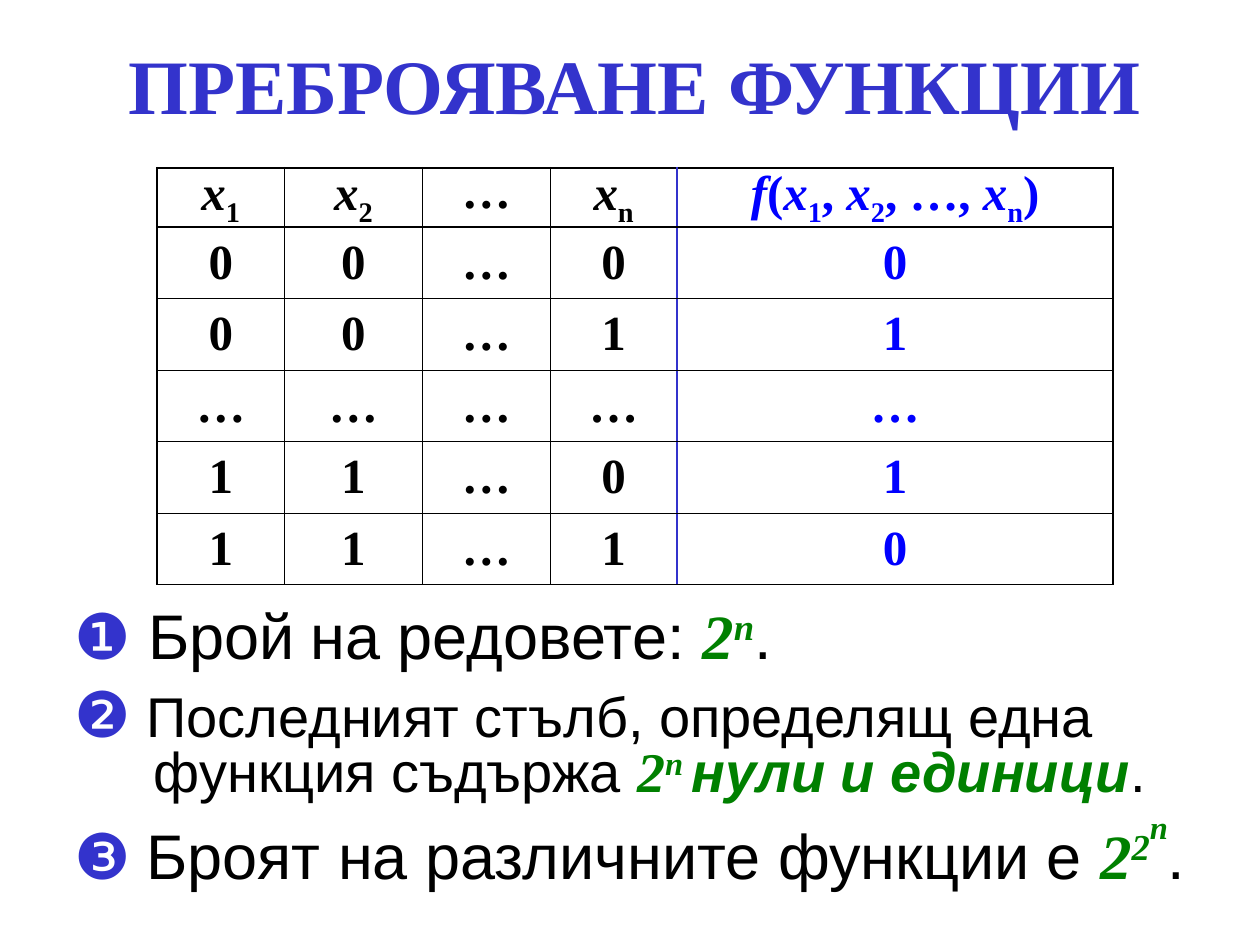
from dataclasses import dataclass

from lxml import etree
from pptx import Presentation
from pptx import util as u
from pptx.dml.color import RGBColor
from pptx.enum import text as t
from pptx.oxml import ns

SERIF, SANS = "Times New Roman", "Arial"
BLACK, INDIGO, BLUE, GREEN = "000000", "3333CC", "0000FF", "008000"
SUB, SUPER, HIGH_SUPER = -25, 30, 70
THIN, THICK = 0.45, 1.08


@dataclass(frozen=True)
class Style:
    size: float
    face: str = SANS
    color: str = BLACK
    bold: bool = False
    italic: bool = False


@dataclass(frozen=True)
class Piece:
    text: str
    style: Style
    baseline: int = 0


@dataclass(frozen=True)
class Statement:
    top: float
    width: float
    height: float
    spacing: float
    pieces: tuple[Piece, ...]
    hanging: float = 0


TITLE = Style(44, SERIF, INDIGO, bold=True)
NUMBER = Style(36, color=INDIGO)
LARGE, SMALL = Style(36), Style(32)
MATH_LARGE = Style(36, SERIF, GREEN, True, True)
MATH_SMALL = Style(32, SERIF, GREEN, True, True)
EMPHASIS = Style(32, SANS, GREEN, True, True)

STATEMENTS = (
    Statement(12.07, 22.61, 1.7, 0.9, (
        Piece("❶ ", NUMBER), Piece("Брой", LARGE), Piece(" ", SMALL),
        Piece("на редовете: ", LARGE), Piece("2", MATH_LARGE),
        Piece("n", MATH_LARGE, SUPER), Piece(".", LARGE))),
    Statement(13.77, 22.61, 2.69, 0.8, (
        Piece("❷", NUMBER),
        Piece(" Последният стълб, определящ една функция съдържа ", SMALL),
        Piece("2", MATH_SMALL), Piece("n ", MATH_SMALL, SUPER),
        Piece("нули и единици", EMPHASIS), Piece(".", SMALL)), hanging=1.6),
    Statement(16.51, 23.9, 1.63, 0.8, (
        Piece("❸", NUMBER), Piece(" ", SMALL),
        Piece("Броят на различните функции е ", LARGE),
        Piece("2", MATH_LARGE), Piece("2", MATH_LARGE, SUPER),
        Piece("n", MATH_SMALL, HIGH_SUPER), Piece(".", LARGE))),
)

COLUMN_WIDTHS = (2.56, 2.79, 2.57, 2.56, 8.79)
HEADER_HEIGHT, ROW_HEIGHT = 1.13, 1.43
# In the headers, "_" marks the next character as a subscript.
HEADERS = ("x_1", "x_2", "…", "x_n", "f(x_1, x_2, …, x_n)")
VALUES = ("00…00", "00…11", "………… …".replace(" ", "")[:5], "11…01", "11…10")


def rgb(color: str) -> RGBColor:
    return RGBColor.from_string(color)


def apply_style(font, style: Style) -> None:
    font.size = u.Pt(style.size)
    font.name = style.face
    font.bold = style.bold
    font.italic = style.italic
    font.color.rgb = rgb(style.color)


def add_piece(paragraph, piece: Piece) -> None:
    run = paragraph.add_run()
    run.text = piece.text
    apply_style(run.font, piece.style)
    if piece.baseline:
        run._r.get_or_add_rPr().set("baseline", str(piece.baseline * 1000))


def add_text_frame(slide, left: float, top: float, width: float, height: float):
    box = slide.shapes.add_textbox(u.Cm(left), u.Cm(top), u.Cm(width), u.Cm(height))
    box.text_frame.word_wrap = True
    return box.text_frame


def add_title(slide, title: str) -> None:
    frame = add_text_frame(slide, 1.9, 0.64, 21.8, 2.1)
    frame.vertical_anchor = t.MSO_ANCHOR.MIDDLE
    paragraph = frame.paragraphs[0]
    paragraph.text = title
    paragraph.alignment = t.PP_ALIGN.CENTER
    apply_style(paragraph.font, TITLE)


def add_statement(slide, statement: Statement) -> None:
    frame = add_text_frame(slide, 1.5, statement.top, statement.width, statement.height)
    frame.margin_left = frame.margin_right = 0
    paragraph = frame.paragraphs[0]
    paragraph.line_spacing = statement.spacing
    if statement.hanging:
        properties = paragraph._p.get_or_add_pPr()
        properties.set("marL", str(u.Cm(statement.hanging)))
        properties.set("indent", str(-u.Cm(statement.hanging)))
    for piece in statement.pieces:
        add_piece(paragraph, piece)


def header_pieces(label: str, color: str) -> list[Piece]:
    """Split a formula into italic letters, upright signs and subscripts."""
    pieces = []
    subscript = False
    for character in label:
        if character == "_":
            subscript = True
            continue
        italic = character in "fx" and not subscript
        style = Style(28, SERIF, color, bold=True, italic=italic)
        pieces.append(Piece(character, style, SUB if subscript else 0))
        subscript = False
    return pieces


def set_borders(cell, row: int, column: int) -> None:
    """Thick frame and header rule, indigo rule before the last column."""
    last_row, last_column = len(VALUES), len(COLUMN_WIDTHS) - 1
    edges = {
        "L": (column in (0, last_column), column == last_column),
        "R": (column >= last_column - 1, column == last_column - 1),
        "T": (row in (0, 1), False),
        "B": (row in (0, last_row), False),
    }
    properties = cell._tc.get_or_add_tcPr()
    for position, (side, (thick, indigo)) in enumerate(edges.items()):
        line = etree.Element(ns.qn(f"a:ln{side}"))
        line.set("w", str(u.Pt(THICK if thick else THIN)))
        fill = etree.SubElement(line, ns.qn("a:solidFill"))
        color = etree.SubElement(fill, ns.qn("a:srgbClr"))
        color.set("val", INDIGO if indigo else BLACK)
        properties.insert(position, line)


def add_truth_table(slide) -> None:
    rows = (HEADERS, *VALUES)
    height = HEADER_HEIGHT + ROW_HEIGHT * len(VALUES)
    table = slide.shapes.add_table(
        len(rows), len(COLUMN_WIDTHS), u.Cm(3.17), u.Cm(3.38),
        u.Cm(sum(COLUMN_WIDTHS)), u.Cm(height)).table
    table.first_row = table.horz_banding = False
    for column, width in zip(table.columns, COLUMN_WIDTHS):
        column.width = u.Cm(width)
    for row_index, labels in enumerate(rows):
        table.rows[row_index].height = u.Cm(ROW_HEIGHT if row_index else HEADER_HEIGHT)
        for column_index, label in enumerate(labels):
            cell = table.cell(row_index, column_index)
            cell.fill.background()
            cell.vertical_anchor = t.MSO_ANCHOR.MIDDLE
            set_borders(cell, row_index, column_index)
            color = BLUE if column_index == len(labels) - 1 else BLACK
            paragraph = cell.text_frame.paragraphs[0]
            paragraph.alignment = t.PP_ALIGN.CENTER
            if row_index:
                paragraph.text = label
                apply_style(paragraph.font, Style(28, SERIF, color, bold=True))
            else:
                paragraph.line_spacing = 0.7
                for piece in header_pieces(label, color):
                    add_piece(paragraph, piece)


def main() -> None:
    presentation = Presentation()
    presentation.slide_width, presentation.slide_height = u.Cm(25.4), u.Cm(19.05)
    slide = presentation.slides.add_slide(presentation.slide_layouts[6])
    add_title(slide, "ПРЕБРОЯВАНЕ ФУНКЦИИ")
    add_truth_table(slide)
    for statement in STATEMENTS:
        add_statement(slide, statement)
    presentation.save("out.pptx")


if __name__ == "__main__":
    main()
